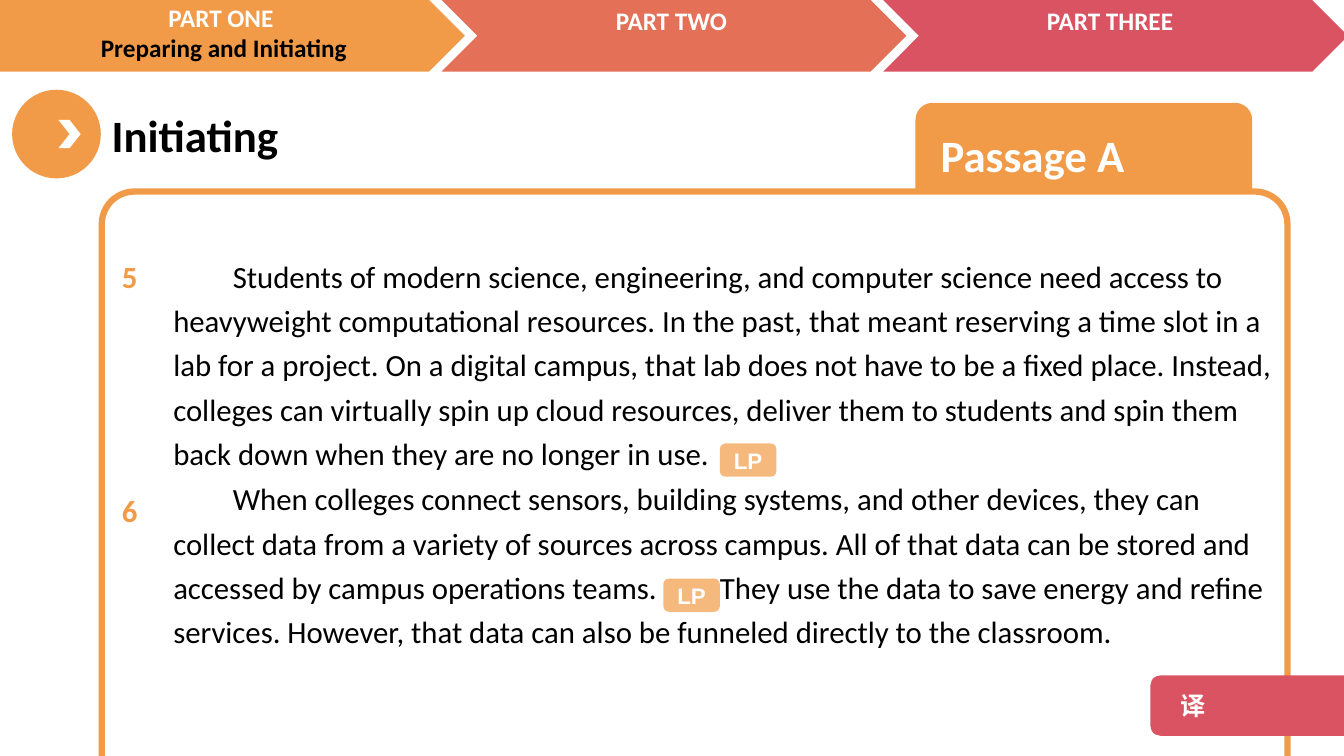
"""Builds the Passage A reading slide with its three-part progress bar."""
from lxml import etree
from pptx import Presentation
from pptx import util as u
from pptx.dml.color import RGBColor
from pptx.enum import shapes, text
from pptx.oxml import ns

ORANGE = RGBColor(0xF1, 0x9B, 0x48)
CORAL = RGBColor(0xE4, 0x70, 0x57)
ROSE = RGBColor(0xDA, 0x53, 0x62)
WHITE = RGBColor(0xFF, 0xFF, 0xFF)
BLACK = RGBColor(0, 0, 0)
SHAPE = shapes.MSO_SHAPE
CENTER = text.PP_ALIGN.CENTER

STUDENTS = (
    "Students of modern science, engineering, and computer science need access to "
    "heavyweight computational resources. In the past, that meant reserving a time slot "
    "in a lab for a project. On a digital campus, that lab does not have to be a fixed "
    "place. Instead, colleges can virtually spin up cloud resources, deliver them to "
    "students and spin them back down when they are no longer in use."
)
SENSORS_START = (
    "When colleges connect sensors, building systems, and other devices, they can collect "
    "data from a variety of sources across campus. All of that data can be stored and "
    "accessed by campus operations teams."
)
SENSORS_END = (
    "They use the data to save energy and refine services. However, that data can also be "
    "funneled directly to the classroom."
)


def write(para, *pieces, size=18, color=WHITE, bold=True, font="Calibri",
          align=None, spacing=None, indent=None, gap=40):
    """Put formatted pieces into a paragraph, a wide space of gap points between them."""
    if align is not None:
        para.alignment = align
    if spacing:
        para.line_spacing = spacing
    if indent:
        props = para._p.get_or_add_pPr()
        props.set("marL", "0")
        props.set("indent", str(u.Inches(indent)))
    runs = [(pieces[0], 0)]
    for piece in pieces[1:]:
        runs += [(" ", gap), (piece, 0)]
    for words, tracking in runs:
        span = para.add_run()
        span.text = words
        span.font.size = u.Pt(size)
        span.font.bold = bold
        span.font.name = font
        span.font.color.rgb = color
        props = span._r.get_or_add_rPr()
        etree.SubElement(props, ns.qn("a:ea"), typeface=font)
        if tracking:
            props.set("spc", str(tracking * 100))


class Builder:
    """Holds the house style and the current page."""

    def __init__(self, page):
        self.page = page
        self.body = dict(size=22, spacing=1.2)

    def shape(self, kind, left, top, width, height, fill, line=None,
              adjust=None, opacity=None):
        """Add a filled preset shape."""
        box = self.page.shapes.add_shape(
            kind, *map(u.Inches, (left, top, width, height)))
        box.shadow.inherit = False
        box.fill.solid()
        box.fill.fore_color.rgb = fill
        if line:
            box.line.color.rgb = line
            box.line.width = u.Pt(4.5)
        else:
            box.line.fill.background()
        if adjust is not None:
            box.adjustments[0] = adjust
        if opacity:
            color = box._element.spPr.find(ns.qn("a:solidFill"))[0]
            etree.SubElement(color, ns.qn("a:alpha"), val=str(opacity * 1000))
        return box

    def label(self, box, words, inset=0.1, align=text.PP_ALIGN.LEFT, **style):
        """Write one line in the middle of a shape's height."""
        frame = box.text_frame
        frame.margin_left = u.Inches(inset)
        frame.vertical_anchor = text.MSO_ANCHOR.MIDDLE
        write(frame.paragraphs[0], words, align=align, **style)

    def text(self, left, top, width, height, *lines, **style):
        """Add a wrapped text box, each line a colour and its pieces of text."""
        box = self.page.shapes.add_textbox(
            *map(u.Inches, (left, top, width, height)))
        frame = box.text_frame
        frame.word_wrap = True
        for number, (color, *pieces) in enumerate(lines):
            para = frame.add_paragraph() if number else frame.paragraphs[0]
            write(para, *pieces, color=color, **style)

    def passage(self, top, height, *pieces):
        """Add an indented paragraph of the passage."""
        self.text(1.62, top, 11.25, height, (BLACK, *pieces),
                  bold=False, indent=0.59, **self.body)

    def badge(self, left, top):
        """Add a translucent language point badge."""
        box = self.shape(SHAPE.ROUNDED_RECTANGLE, left, top, 0.56, 0.33,
                         ORANGE, opacity=71)
        self.label(box, "LP", align=CENTER, size=16, font="Arial")


def main():
    """Build and save the deck."""
    deck = Presentation()
    deck.slide_width, deck.slide_height = u.Inches(13.33), u.Inches(7.5)
    build = Builder(deck.slides.add_slide(deck.slide_layouts[6]))

    build.shape(SHAPE.OVAL, 0.12, 0.89, 0.88, 0.88, ORANGE)
    build.text(1.01, 1.02, 4.85, 0.64, (BLACK, "Initiating"), size=32)
    tab = build.shape(SHAPE.ROUNDED_RECTANGLE, 9.08, 1.02, 3.34, 1.02, ORANGE)
    build.label(tab, "Passage A", inset=0.2, size=32)
    build.shape(SHAPE.ROUNDED_RECTANGLE, 1.01, 1.9, 11.76, 6.45, WHITE,
                line=ORANGE, adjust=0.05)

    for left, width, color in ((4.38, 4.61, CORAL), (8.76, 4.61, ROSE),
                               (-0.61, 5.22, ORANGE)):
        build.shape(SHAPE.CHEVRON, left, 0, width, 0.71, color)
    build.shape(SHAPE.CHEVRON, 0.58, 1.19, 0.22, 0.28, WHITE)
    build.text(-0.06, -0.03, 4.56, 0.71, (WHITE, "PART ONE "),
               (BLACK, "Preparing and Initiating"), align=CENTER)
    build.text(4.38, 0, 4.56, 0.4, (WHITE, "PART TWO"), align=CENTER)
    build.text(8.73, 0, 4.56, 0.4, (WHITE, "PART THREE"), align=CENTER)

    build.passage(2.43, 2.3, STUDENTS)
    build.passage(4.64, 1.87, SENSORS_START, SENSORS_END)
    for number, top in (("5", 2.43), ("6", 4.76)):
        build.text(1.11, top, 0.51, 0.47, (ORANGE, number), **build.body)
    build.badge(7.14, 4.4)
    build.badge(6.58, 5.74)

    translate = build.shape(SHAPE.ROUNDED_RECTANGLE, 11.41, 6.7, 2.13, 0.6, ROSE)
    build.label(translate, "译", inset=0.27, font="Noto Sans CJK SC")
    deck.save("out.pptx")


if __name__ == "__main__":
    main()
